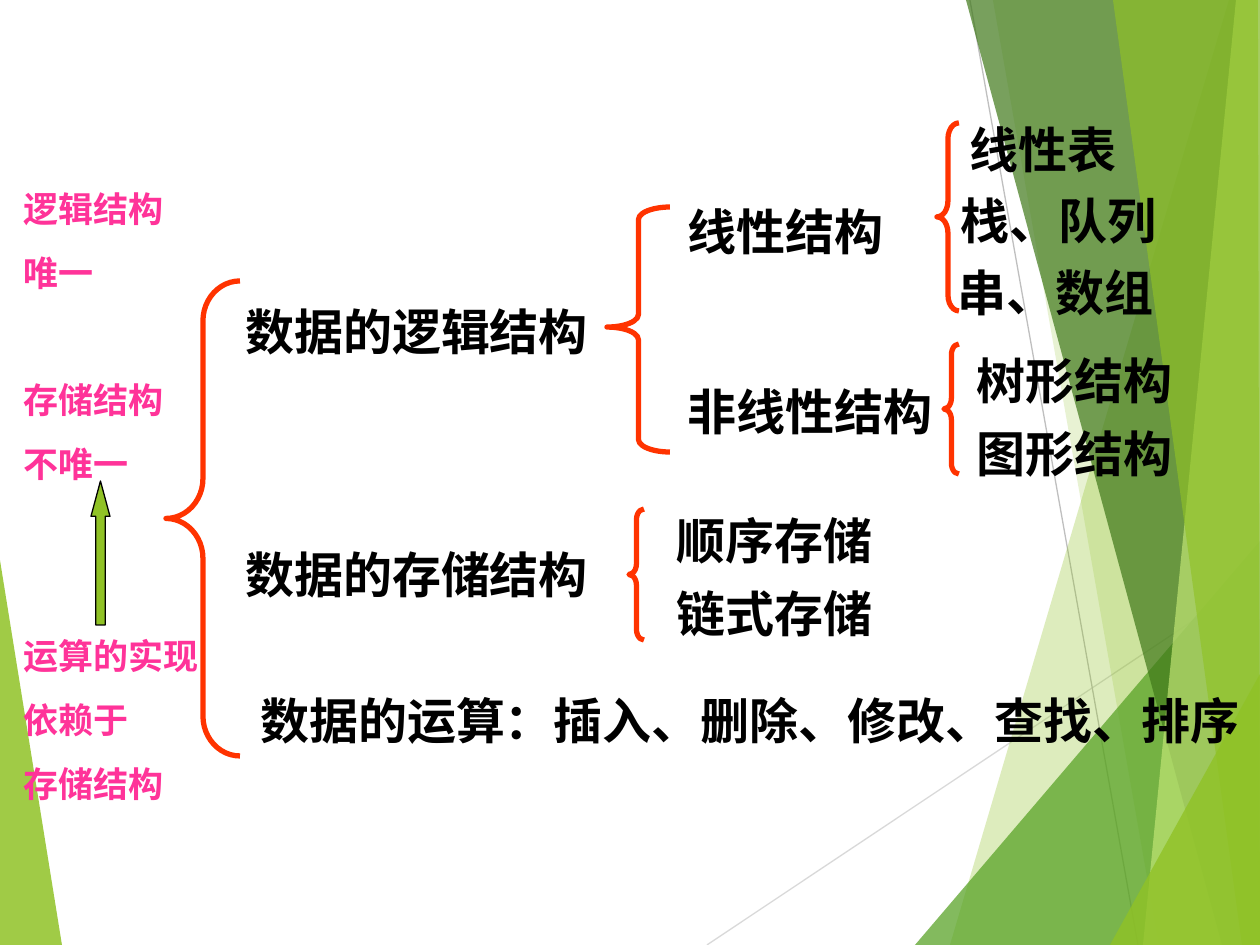
from lxml.etree import SubElement
from pptx import Presentation
from pptx.dml.color import RGBColor
from pptx.enum.shapes import MSO_CONNECTOR as Connector, MSO_SHAPE as Shape
from pptx.enum.text import MSO_ANCHOR as Anchor
from pptx.oxml.ns import qn
from pptx.util import Pt

PX = 914400 // 126
WIDTH, HEIGHT = 1260, 945
FONT = "Times New Roman"
BLACK = RGBColor(0x00, 0x00, 0x00)
PINK = RGBColor(0xFF, 0x33, 0x99)
ORANGE = RGBColor(0xFF, 0x33, 0x00)
LIME = RGBColor(0x90, 0xC2, 0x26)
GREEN = RGBColor(0x54, 0xA0, 0x21)
FOREST = RGBColor(0x3F, 0x78, 0x19)
PALE_LIME = RGBColor(0xC0, 0xE4, 0x74)
LIGHT_GREY = RGBColor(0xD9, 0xD9, 0xD9)
GREY = RGBColor(0xBF, 0xBF, 0xBF)

LEFT_FACET = [(0, 560), (62, HEIGHT), (0, HEIGHT)]
RAYS = [((707, HEIGHT), (WIDTH, 576), LIGHT_GREY), ((970, 0), (1138, HEIGHT), GREY)]
BOTTOM_RIGHT, TOP_RIGHT = (WIDTH, HEIGHT), (WIDTH, 0)
RIGHT_FACETS = [
    ([(1229, 0), (950, HEIGHT), BOTTOM_RIGHT, TOP_RIGHT], LIME, 30),
    ([(993, 0), (1159, HEIGHT), BOTTOM_RIGHT, TOP_RIGHT], LIME, 20),
    ([(915, HEIGHT), (WIDTH, 541), BOTTOM_RIGHT], GREEN, 72),
    ([(966, 0), (1222, HEIGHT), BOTTOM_RIGHT, TOP_RIGHT], FOREST, 70),
    ([(1236, 0), (1143, HEIGHT), BOTTOM_RIGHT, TOP_RIGHT], PALE_LIME, 70),
    ([(1113, 0), (1242, HEIGHT), BOTTOM_RIGHT, (1258, 0)], LIME, 65),
    ([(1110, HEIGHT), (WIDTH, 674), BOTTOM_RIGHT], LIME, 80),
]
BRACES = [
    (166, 281, 74, 475, 0.54, 0.5),
    (629, 509, 15, 131, 0.72, 0.5),
    (607, 207, 63, 245, 0.2, 0.49),
    (937, 123, 22, 188, 0.72, 0.5),
    (944, 344, 15, 130, 0.72, 0.5),
]
TOPICS = [
    ("数据的逻辑结构", 233, 295),
    ("数据的存储结构", 233, 538),
    ("数据的运算：插入、删除、修改、查找、排序", 248, 684),
    ("线性结构", 675, 195),
    ("非线性结构", 675, 375),
    ("顺序存储", 664, 504),
    ("链式存储", 664, 577),
    ("线性表", 957, 113),
    ("栈、队列", 948, 184),
    ("串、数组", 945, 256),
    ("树形结构", 964, 344),
    ("图形结构", 964, 417),
]
REMARKS = [
    ("逻辑结构", 0), ("唯一", 12.5),
    ("存储结构", 49), ("不唯一", 12.5),
    ("运算的实现", 85.5), ("依赖于", 12.5), ("存储结构", 12.5),
]


def scaled(*lengths):
    """Turn px lengths into EMU."""
    return [length * PX for length in lengths]


def add_facet(slide, corners, color, opacity):
    """Draw a translucent polygon of the backdrop."""
    builder = slide.shapes.build_freeform(*corners[0], scale=PX)
    builder.add_line_segments(corners[1:])
    facet = builder.convert_to_shape()
    facet.shadow.inherit = False
    facet.fill.solid()
    facet.fill.fore_color.rgb = color
    facet.line.fill.background()
    tint = facet.fill._xPr.find(qn("a:solidFill"))[0]
    SubElement(tint, qn("a:alpha"), val=str(opacity * 1000))


def add_ray(slide, start, end, color):
    """Draw a thin line of the backdrop."""
    ray = slide.shapes.add_connector(Connector.STRAIGHT, *scaled(*start, *end))
    ray.line.color.rgb = color
    ray.line.width = Pt(0.75)
    SubElement(ray._element.spPr, qn("a:effectLst"))


def add_outlined(slide, preset, box, adjustments, color, weight):
    """Add a preset shape with an outline and no shadow."""
    shape = slide.shapes.add_shape(preset, *scaled(*box))
    shape.shadow.inherit = False
    for index, value in enumerate(adjustments):
        shape.adjustments[index] = value
    shape.line.color.rgb = color
    shape.line.width = Pt(weight)
    return shape


def add_brace(slide, left, top, width, height, curve, middle):
    """Draw an orange brace that opens to the right."""
    box = (left, top, width, height)
    brace = add_outlined(slide, Shape.LEFT_BRACE, box, (curve, middle), ORANGE, 3)
    brace.fill.background()


def add_text(slide, box, lines, size, color, wrap):
    """Write bold lines, each with its space before in points."""
    frame = slide.shapes.add_textbox(*scaled(*box)).text_frame
    frame.word_wrap = wrap
    frame.vertical_anchor = Anchor.TOP
    for index, (words, gap) in enumerate(lines):
        paragraph = frame.add_paragraph() if index else frame.paragraphs[0]
        paragraph.space_before = Pt(gap)
        run = paragraph.add_run()
        run.text = words
        run.font.name = FONT
        run.font.size = Pt(size)
        run.font.bold = True
        run.font.color.rgb = color


def add_topic(slide, words, left, top):
    """Write a one-line entry of the outline."""
    box = (left, top, 49 * len(words) + 26, 72)
    add_text(slide, box, [(words, 0)], 28, BLACK, False)


def main():
    """Build the slide and save it."""
    deck = Presentation()
    deck.slide_width, deck.slide_height = scaled(WIDTH, HEIGHT)
    slide = deck.slides.add_slide(deck.slide_layouts[6])
    add_facet(slide, LEFT_FACET, LIME, 85)
    for ray in RAYS:
        add_ray(slide, *ray)
    for facet in RIGHT_FACETS:
        add_facet(slide, *facet)
    for brace in BRACES:
        add_brace(slide, *brace)
    for topic in TOPICS:
        add_topic(slide, *topic)
    add_text(slide, (11, 181, 207, 630), REMARKS, 20, PINK, True)
    arrow = add_outlined(slide, Shape.UP_ARROW, (91, 481, 19, 144), (0.5, 1.86), BLACK, 0.75)
    arrow.fill.solid()
    arrow.fill.fore_color.rgb = LIME
    deck.save("out.pptx")


if __name__ == "__main__":
    main()
